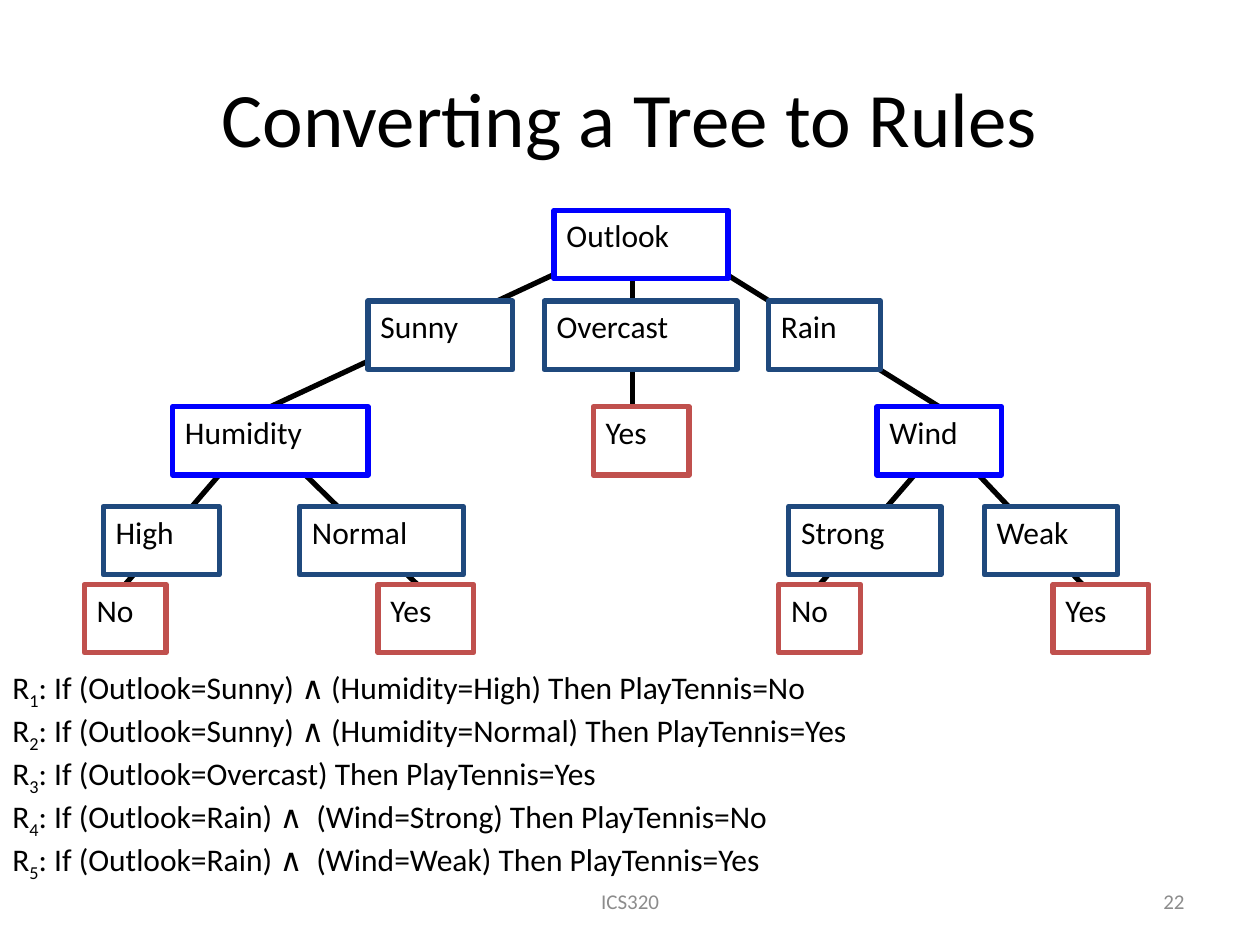
import pptx
import pptx.util
import pptx.dml.color
import pptx.enum.shapes
import pptx.enum.text
import pptx.oxml.ns
import lxml.etree

Cm = pptx.util.Cm
ALIGN = pptx.enum.text.PP_ALIGN
ANCHOR = pptx.enum.text.MSO_ANCHOR

TEST, BRANCH, LEAF = "0000FF", "1F497D", "C0504D"
ROWS = [0, 1.83, 3.96, 5.97, 7.54]
NODE_H = 1.38
NODES = {
    "outlook": ("Outlook", 9.47, 0, 3.51, TEST),
    "sunny": ("Sunny", 5.72, 1, 2.92, BRANCH),
    "overcast": ("Overcast", 9.27, 1, 3.89, BRANCH),
    "rain": ("Rain", 13.79, 1, 2.26, BRANCH),
    "humidity": ("Humidity", 1.78, 2, 3.94, TEST),
    "overcast_yes": ("Yes", 10.26, 2, 1.93, LEAF),
    "wind": ("Wind", 15.98, 2, 2.51, TEST),
    "high": ("High", 0.38, 3, 2.34, BRANCH),
    "normal": ("Normal", 4.34, 3, 3.3, BRANCH),
    "strong": ("Strong", 14.2, 3, 3.07, BRANCH),
    "weak": ("Weak", 18.14, 3, 2.69, BRANCH),
    "high_no": ("No", 0, 4, 1.65, LEAF),
    "normal_yes": ("Yes", 5.92, 4, 1.93, LEAF),
    "strong_no": ("No", 14, 4, 1.65, LEAF),
    "weak_yes": ("Yes", 19.53, 4, 1.93, LEAF),
}
EDGES = [
    (10.44, 0.84, 3.75, 2, "humidity"),
    (12.22, 0.84, 17.23, 2, "wind"),
    (11.05, 0.99, 11.05, 2, None),
    (3.15, 4.83, 0.82, 4, "high_no"),
    (3.94, 4.83, 6.71, 4, None),
    (17.17, 4.83, 14.82, 4, "strong_no"),
    (17.55, 4.83, 20.12, 4, None),
]
RULES = [
    "(Outlook=Sunny) ∧ (Humidity=High) Then PlayTennis=No",
    "(Outlook=Sunny) ∧ (Humidity=Normal) Then PlayTennis=Yes",
    "(Outlook=Overcast) Then PlayTennis=Yes",
    "(Outlook=Rain) ∧  (Wind=Strong) Then PlayTennis=No",
    "(Outlook=Rain) ∧  (Wind=Weak) Then PlayTennis=Yes",
]


def rgb(color):
    return pptx.dml.color.RGBColor.from_string(color)


def add_run(p, text, size=18, color="000000", baseline=None):
    r = p.add_run()
    r.text = text
    r.font.name = "Calibri"
    r.font.size = pptx.util.Pt(size)
    r.font.color.rgb = rgb(color)
    if baseline is not None:
        r.font._element.set("baseline", str(baseline * 1000))


def add_text(s, box, text, align=ALIGN.LEFT, anchor=ANCHOR.MIDDLE, **fmt):
    tf = s.shapes.add_textbox(*map(Cm, box)).text_frame
    tf.word_wrap = True
    tf.vertical_anchor = anchor
    tf.paragraphs[0].alignment = align
    add_run(tf.paragraphs[0], text, **fmt)


def add_edge(s, x1, y1, x2, y2):
    c = s.shapes.add_connector(
        pptx.enum.shapes.MSO_CONNECTOR.STRAIGHT, Cm(x1), Cm(y1), Cm(x2), Cm(y2))
    c.line.color.rgb = rgb("000000")
    c.line.width = pptx.util.Pt(3)
    lxml.etree.SubElement(c._element.spPr, pptx.oxml.ns.qn("a:effectLst"))
    return c


def add_node(s, box, text, color):
    sp = s.shapes.add_shape(pptx.enum.shapes.MSO_SHAPE.RECTANGLE, *map(Cm, box))
    sp.shadow.inherit = False
    sp.fill.solid()
    sp.fill.fore_color.rgb = rgb("FFFFFF")
    sp.line.color.rgb = rgb(color)
    sp.line.width = pptx.util.Pt(3)
    tf = sp.text_frame
    tf.word_wrap = False
    tf.vertical_anchor = ANCHOR.TOP
    tf.paragraphs[0].alignment = ALIGN.LEFT
    add_run(tf.paragraphs[0], text)
    return sp


def add_tree(s, x, y):
    edges = [(add_edge(s, x + x1, y + y1, x + x2, y + ROWS[row]), child)
             for x1, y1, x2, row, child in EDGES]
    nodes = {key: add_node(s, (x + left, y + ROWS[row], w, NODE_H), text, color)
             for key, (text, left, row, w, color) in NODES.items()}
    for c, child in edges:
        if child:
            c.end_connect(nodes[child], 0)


def add_rules(s, box):
    tf = s.shapes.add_textbox(*map(Cm, box)).text_frame
    tf.word_wrap = True
    for i, rule in enumerate(RULES, 1):
        p = tf.paragraphs[0] if i == 1 else tf.add_paragraph()
        add_run(p, "R")
        add_run(p, str(i), baseline=-25)
        add_run(p, ": If " + rule)


def add_footer(s, x, y, h):
    add_text(s, (x, y, 8.05, h), "ICS320", align=ALIGN.CENTER, size=12, color="8C8C8C")
    add_text(s, (x + 9.53, y, 5.92, h), "22", align=ALIGN.RIGHT, size=12, color="8C8C8C")


def main():
    prs = pptx.Presentation()
    prs.slide_width, prs.slide_height = Cm(25.4), Cm(19.05)
    s = prs.slides.add_slide(prs.slide_layouts[6])
    add_text(s, (1.27, 0.76, 22.86, 3.18), "Converting a Tree to Rules",
             align=ALIGN.CENTER, size=44)
    add_tree(s, 1.7, 4.24)
    add_rules(s, (0, 13.34, 25.4, 4.6))
    add_footer(s, 8.68, 17.65, 1.02)
    prs.save("out.pptx")


if __name__ == "__main__":
    main()
